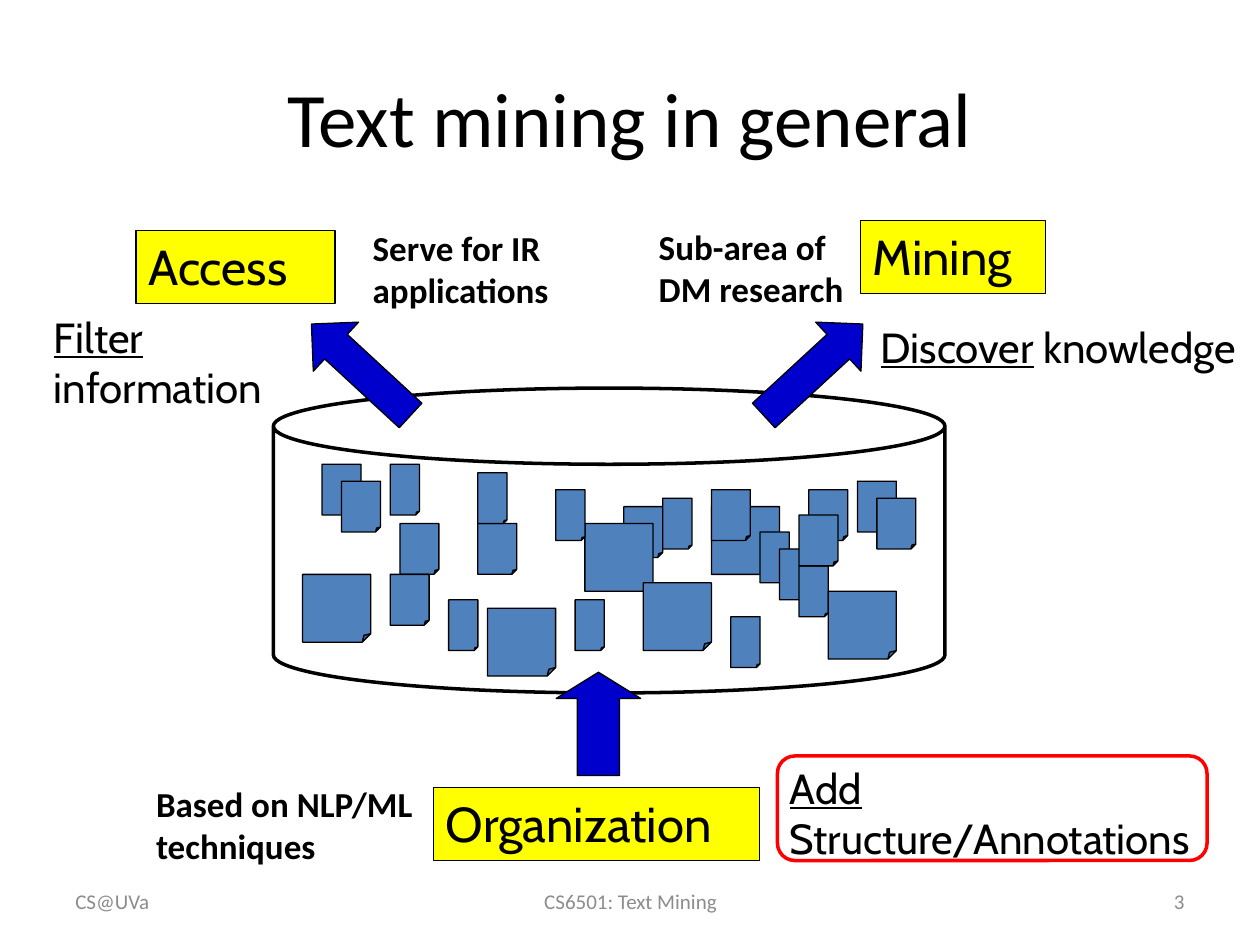
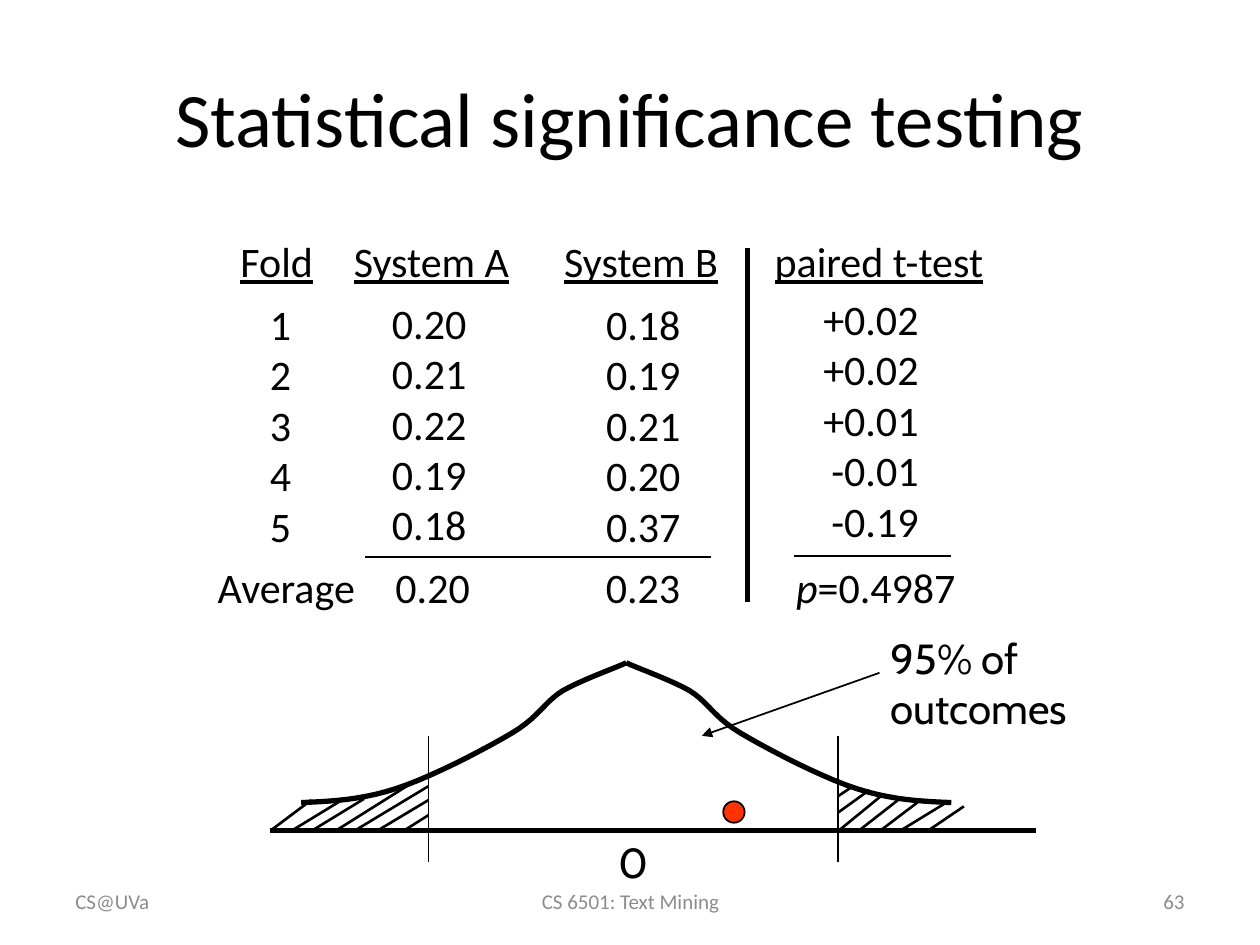
import dataclasses

import lxml.etree
import pptx
import pptx.dml.color
import pptx.enum.shapes
import pptx.enum.text
import pptx.oxml
import pptx.oxml.ns
import pptx.util

BLACK, GREY, WHITE = "000000", "8C8C8C", "FFFFFF"
YELLOW, BLUE, PAPER, RED, DOT = "FFFF00", "0000CC", "4F81BD", "FF0000", "FF3300"
BODY, HAND = "Calibri", "Cabin"
SHAPE = pptx.enum.shapes.MSO_SHAPE
ALIGN = pptx.enum.text.PP_ALIGN
ANCHOR = pptx.enum.text.MSO_ANCHOR


@dataclasses.dataclass
class Grid:
    """A box in inches, split into columns and rows."""
    x: float
    y: float
    w: float
    h: float
    cols: float
    rows: float

    def point(self, col, row):
        """Return the slide position of a grid point."""
        return (pptx.util.Inches(self.x + self.w * col / self.cols),
                pptx.util.Inches(self.y + self.h * row / self.rows))

    def cell(self, col, row, cols, rows):
        """Return left, top, width and height of a block of cells."""
        left, top = self.point(col, row)
        right, bottom = self.point(col + cols, row + rows)
        return left, top, right - left, bottom - top


PAGE = Grid(0, 0, 10, 7.5, 100, 75)


def rgb(value):
    """Turn a hex string into a colour."""
    return pptx.dml.color.RGBColor.from_string(value)


def write(tf, paragraphs, size, font=BODY, color=BLACK, align=ALIGN.LEFT, wrap=True):
    """Fill a text frame; each run is a pair of text and style letters."""
    tf.word_wrap = wrap
    for i, runs in enumerate(paragraphs):
        p = tf.add_paragraph() if i else tf.paragraphs[0]
        p.alignment = align
        for text, style in runs:
            r = p.add_run()
            r.text = text
            r.font.size = pptx.util.Pt(size)
            r.font.name = font
            r.font.color.rgb = rgb(color)
            r.font.bold = "b" in style
            r.font.italic = "i" in style
            r.font.underline = "u" in style


def add_text(s, box, paragraphs, size=24, **style):
    """Add a text box."""
    tf = s.shapes.add_textbox(*box).text_frame
    write(tf, paragraphs, size, **style)
    return tf


def set_adjustments(sp, values):
    """Write the adjustment values of a preset shape."""
    guides = sp._element.spPr.find(".//" + pptx.oxml.ns.qn("a:avLst"))
    for guide in list(guides):
        guides.remove(guide)
    for i, value in enumerate(values, 1):
        name = "adj" if len(values) == 1 else f"adj{i}"
        lxml.etree.SubElement(guides, pptx.oxml.ns.qn("a:gd"), name=name,
                              fmla=f"val {round(value * 100000)}")


def add_shape(s, kind, box, fill=None, line=BLACK, width=0.75, rotation=0, adjust=()):
    """Add a preset shape with a plain outline."""
    sp = s.shapes.add_shape(kind, *box)
    sp.shadow.inherit = False
    sp.rotation = rotation
    if adjust:
        set_adjustments(sp, adjust)
    if fill:
        sp.fill.solid()
        sp.fill.fore_color.rgb = rgb(fill)
    else:
        sp.fill.background()
    sp.line.color.rgb = rgb(line)
    sp.line.width = pptx.util.Pt(width)
    return sp


def add_line(s, grid, start, end, width=1, arrow=False):
    """Draw a straight line between two grid points."""
    straight = pptx.enum.shapes.MSO_CONNECTOR.STRAIGHT
    c = s.shapes.add_connector(straight, *grid.point(*start), *grid.point(*end))
    c.line.color.rgb = rgb(BLACK)
    c.line.width = pptx.util.Pt(width)
    props = c._element.spPr
    if arrow:
        outline = props.find(pptx.oxml.ns.qn("a:ln"))
        lxml.etree.SubElement(outline, pptx.oxml.ns.qn("a:tailEnd"), type="triangle")
    lxml.etree.SubElement(props, pptx.oxml.ns.qn("a:effectLst"))


def add_page(prs, title, course, number):
    """Add a slide with its title and footer row."""
    s = prs.slides.add_slide(prs.slide_layouts[5])
    s.background.fill.solid()
    s.background.fill.fore_color.rgb = rgb(WHITE)
    sp = s.shapes.title
    sp.left, sp.top, sp.width, sp.height = PAGE.cell(5, 3, 90, 12.5)
    sp.text_frame.vertical_anchor = ANCHOR.MIDDLE
    write(sp.text_frame, [[(title, "")]], 44, align=ALIGN.CENTER)
    footers = [(5, 23.3, "CS@UVa", ALIGN.LEFT), (34.2, 31.7, course, ALIGN.CENTER),
               (71.7, 23.3, number, ALIGN.RIGHT)]
    for col, cols, text, align in footers:
        tf = add_text(s, PAGE.cell(col, 69.5, cols, 4), [[(text, "")]], 12,
                      color=GREY, align=align)
        tf.vertical_anchor = ANCHOR.MIDDLE
    return s


def draw_collection(s, grid):
    """Draw the text collection: a can full of documents."""
    add_shape(s, SHAPE.CAN, grid.cell(0, 0, grid.cols, grid.rows), width=2,
              adjust=[0.25])
    medium, large, small = (4, 6), (7, 8), (3, 6)
    documents = [
        (medium, [(5, 9), (7, 11), (13, 16), (12, 22), (21, 16), (36, 14)]),
        (large, [(45, 14), (22, 26), (32, 16), (3, 22), (38, 23)]),
        (small, [(29, 12), (40, 13), (21, 10), (12, 9), (47, 27), (31, 25),
                 (50, 17), (52, 19), (54, 21), (18, 25)]),
        (medium, [(55, 12), (45, 12), (60, 11), (62, 13), (54, 15)]),
        (large, [(57, 24)]),
    ]
    for size, places in documents:
        for place in places:
            add_shape(s, SHAPE.FOLDED_CORNER, grid.cell(*place, *size), PAPER,
                      adjust=[0.125])


def draw_task(s, grid, name, kind, arrow, rotation, head):
    """Draw a task name filling the grid, and its block arrow."""
    sp = add_shape(s, SHAPE.RECTANGLE, grid.cell(0, 0, grid.cols, grid.rows), YELLOW)
    sp.text_frame.vertical_anchor = ANCHOR.TOP
    write(sp.text_frame, [[(name, "")]], 28, font=HAND)
    add_shape(s, kind, grid.cell(*arrow), BLUE, rotation=rotation, adjust=[0.5, head])


def build_overview(prs):
    """Build the slide on text mining in general."""
    s = add_page(prs, "Text mining in general", "CS6501: Text Mining", "3")
    draw_collection(s, Grid(2.17, 3.08, 5.33, 2.42, 69, 36))
    draw_task(s, Grid(1.08, 1.83, 1.58, 0.58, 15.8, 5.8), "Access",
              SHAPE.LEFT_ARROW, (12.5, 8.4, 10.7, 5.3), 42.7, 0.5)
    draw_task(s, Grid(6.83, 1.75, 1.47, 0.58, 14.7, 5.8), "Mining",
              SHAPE.RIGHT_ARROW, (-9.1, 9.2, 10.7, 5.3), 317.3, 0.5)
    draw_task(s, Grid(3.44, 6.25, 2.59, 0.58, 25.9, 5.8), "Organization",
              SHAPE.RIGHT_ARROW, (9, -8.4, 8.2, 6.7), 270, 0.31)
    goals = [
        ((3.3, 24.2, 18.7, 9.1), [[("Filter", "u")], [("information", "")]]),
        ((68.9, 25, 32.2, 5), [[("Discover", "u"), (" knowledge", "")]]),
        ((61.7, 60, 34.1, 9), [[("Add", "u"), (" ", "")],
                               [("Structure/Annotations", "")]]),
    ]
    for place, paragraphs in goals:
        add_text(s, PAGE.cell(*place), paragraphs, font=HAND, wrap=False)
    remarks = [
        ((28.6, 17.5, 18.3, 7.7), "Serve for IR applications"),
        ((11.4, 61.6, 23, 7.7), "Based on NLP/ML techniques"),
        ((51.3, 17.4, 18.3, 7.7), "Sub-area of DM research"),
    ]
    for place, text in remarks:
        add_text(s, PAGE.cell(*place), [[(text, "b")]], 20)
    add_shape(s, SHAPE.ROUNDED_RECTANGLE, PAGE.cell(61.7, 60, 34.1, 8.3), line=RED,
              width=2)


def draw_folds(s, grid):
    """Set the results of each fold in columns, with rules between."""
    columns = [
        ("Fold", (1.8, 7.8), ["1", "2", "3", "4", "5"], (4.1, 5, 3.7),
         [("Average", "")], (0, 13)),
        ("System A", (10.8, 14.4), ["0.20", "0.21", "0.22", "0.19", "0.18"],
         (13.8, 4.9, 7.9), [("0.20", "")], (14.1, 7.9)),
        ("System B", (27.5, 14.3), ["0.18", "0.19", "0.21", "0.20", "0.37"],
         (30.8, 5, 7.9), [("0.23", "")], (30.8, 7.9)),
        ("paired t-test", (44.2, 19.3), ["+0.02", "+0.02", "+0.01", "-0.01", "-0.19"],
         (48, 4.6, 9.6), [("p", "i"), ("=0.4987", "")], (45.9, 14.8)),
    ]
    for name, (hx, hw), values, (vx, vy, vw), summary, (fx, fw) in columns:
        add_text(s, grid.cell(hx, 0, hw, 5), [[(name, "u")]], wrap=False)
        add_text(s, grid.cell(vx, vy, vw, 21.2), [[(v, "")] for v in values],
                 align=ALIGN.RIGHT, wrap=False)
        add_text(s, grid.cell(fx, 25.9, fw, 5), [summary], wrap=False)
    add_line(s, grid, (12.7, 26), (40.1, 26))
    add_line(s, grid, (46.7, 25.9), (59.2, 25.9))
    add_line(s, grid, (43, 1.5), (43, 29.6), 3)


def bezier(a, b, c, d, steps=10):
    """Return points along a cubic curve, without its start."""
    points = []
    for i in range(1, steps + 1):
        t = i / steps
        u = 1 - t
        points.append(tuple(u**3 * a[k] + 3 * u * u * t * b[k] + 3 * u * t * t * c[k]
                            + t**3 * d[k] for k in (0, 1)))
    return points


def draw_half_bell(s, grid, centre, side):
    """Draw one half of the bell curve; side is -1 or 1."""
    knots = [(25.8, 11.1), (23.4, 11), (21.1, 10.9), (18.3, 10), (15.5, 9.1),
             (11.3, 6.9), (9.1, 5.6), (6.9, 4.3), (6.5, 3.1), (5, 2.2),
             (3.4, 1.3), (0.8, 0.4), (0, 0)]
    outline = [knots[0]]
    for i in range(0, len(knots) - 1, 3):
        outline += bezier(*knots[i:i + 4])
    points = [grid.point(centre + side * x, y) for x, y in outline]
    builder = s.shapes.build_freeform(*points[0])
    builder.add_line_segments(points[1:], close=False)
    sp = builder.convert_to_shape()
    sp.shadow.inherit = False
    sp.fill.background()
    sp.line.color.rgb = rgb(BLACK)
    sp.line.width = pptx.util.Pt(3)


def draw_distribution(s, grid):
    """Draw the bell curve, its hatched tails and the observed value."""
    base, lower, upper = grid.rows, 12.6, 45.1
    add_line(s, grid, (0, base), (grid.cols, base), 3)
    for side in (-1, 1):
        draw_half_bell(s, grid, 28.3, side)
    for limit in (lower, upper):
        add_line(s, grid, (limit, 5.8), (limit, 15.8))
    hatches = [(lower, 10.9, 8.6), (lower, 9.8, 6.8), (11.2, 9.6, 5.3),
               (lower, 12.1, 10.7), (7.5, 10.8, 3.4), (5.9, 10.8, 1.8),
               (3.3, 10.9, 0.1), (55.1, 11.4, 52.3), (53.7, 11.1, 50.1),
               (51.4, 11.1, 48.5), (50, 10.8, 46.8), (48.5, 10.6, 45.2)]
    for x, y, foot in hatches:
        add_line(s, grid, (x, y), (foot, base), 1.5)
    for x, y, foot in [(47.6, 10.1, 11.9), (46.3, 9.8, 10.6)]:
        add_line(s, grid, (x, y), (upper, foot), 1.5)
    add_line(s, grid, (48.4, 0.8), (34.3, 5.8), arrow=True)
    add_text(s, grid.cell(48.3, -2.9, 18, 9.1), [[("95% of outcomes", "")]], font=HAND)
    add_text(s, grid.cell(26.7, base, 3.7, 5), [[("0", "")]], font=HAND, wrap=False)
    add_shape(s, SHAPE.OVAL, grid.cell(36, 11, 1.7, 1.7), DOT, width=1)


def build_testing(prs):
    """Build the slide on significance testing."""
    s = add_page(prs, "Statistical significance testing", "CS 6501: Text Mining", "63")
    draw_distribution(s, Grid(2.14, 5.26, 6.08, 1.33, 60.8, 13.3))
    draw_folds(s, Grid(1.63, 1.82, 6.35, 3.1, 63.5, 31))


def main():
    """Build and save the presentation."""
    prs = pptx.Presentation()
    prs.slide_width = pptx.util.Inches(PAGE.w)
    prs.slide_height = pptx.util.Inches(PAGE.h)
    build_overview(prs)
    build_testing(prs)
    prs.save("out.pptx")


if __name__ == "__main__":
    main()
